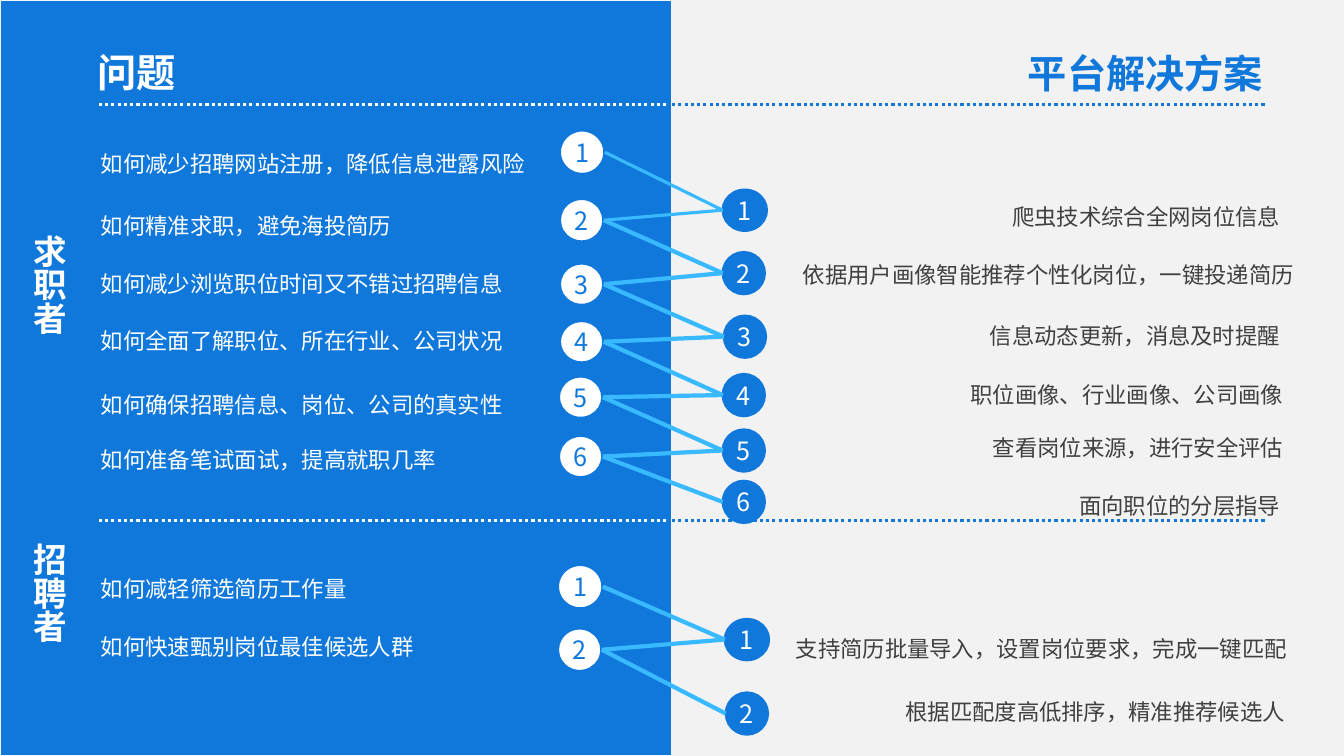
from dataclasses import dataclass

from lxml import etree
from pptx import Presentation
from pptx.dml.color import RGBColor
from pptx.enum.dml import MSO_LINE
from pptx.enum.shapes import MSO_CONNECTOR, MSO_SHAPE
from pptx.enum.text import MSO_ANCHOR, MSO_AUTO_SIZE, PP_ALIGN
from pptx.oxml.ns import qn
from pptx.util import Pt

STRAIGHT = MSO_CONNECTOR.STRAIGHT
RECTANGLE, OVAL = MSO_SHAPE.RECTANGLE, MSO_SHAPE.OVAL
LEFT, CENTER, RIGHT = PP_ALIGN.LEFT, PP_ALIGN.CENTER, PP_ALIGN.RIGHT
MIDDLE = MSO_ANCHOR.MIDDLE
FIT_TEXT = MSO_AUTO_SIZE.SHAPE_TO_FIT_TEXT
DOTTED = MSO_LINE.ROUND_DOT


@dataclass(frozen=True)
class Theme:
    blue: str = "1078DB"
    sky: str = "39B9FF"
    white: str = "FFFFFF"
    pale: str = "F2F2F2"
    grey: str = "404040"
    title_font: str = "Noto Sans"
    body_font: str = "Noto Sans CJK SC"
    title_size: float = 28
    side_size: float = 24
    number_size: float = 18
    body_size: float = 16


@dataclass(frozen=True)
class Area:
    left: float
    top: float
    width: float
    height: float

    @property
    def right(self) -> float:
        return self.left + self.width

    @property
    def middle(self) -> float:
        return self.top + self.height / 2


@dataclass(frozen=True)
class Style:
    font: str
    size: float
    color: str
    bold: bool = False
    align: PP_ALIGN = LEFT


@dataclass(frozen=True)
class Question:
    text: str
    top: float
    circle: Area


@dataclass(frozen=True)
class Answer:
    text: str
    top: float
    right: float
    circle: Area
    link_width: float = 3


@dataclass(frozen=True)
class Audience:
    name: str
    top: float
    questions: list[Question]
    answers: list[Answer]


THEME = Theme()
PAGE_WIDTH, PAGE_HEIGHT = 960, 540
HALF = PAGE_WIDTH / 2
QUESTION_LEFT, QUESTION_WIDTH, ANSWER_WIDTH, ROW_HEIGHT = 65, 350, 380, 26.6

QUESTION_STYLE = Style(THEME.body_font, THEME.body_size, THEME.white)
ANSWER_STYLE = Style(THEME.body_font, THEME.body_size, THEME.grey, align=RIGHT)
SIDE_STYLE = Style(THEME.body_font, THEME.side_size, THEME.white, bold=True)

AUDIENCES = [
    Audience("求职者", 160.6, [
        Question("如何减少招聘网站注册，降低信息泄露风险", 103.7, Area(399.6, 92.9, 32.4, 31.7)),
        Question("如何精准求职，避免海投简历", 148.3, Area(399.6, 141.8, 31.7, 31)),
        Question("如何减少浏览职位时间又不错过招聘信息", 189.4, Area(399.6, 187.9, 31.7, 30.2)),
        Question("如何全面了解职位、所在行业、公司状况", 230.4, Area(399.6, 229, 31.7, 30.2)),
        Question("如何确保招聘信息、岗位、公司的真实性", 275.8, Area(398.9, 268.6, 31.7, 30.2)),
        Question("如何准备笔试面试，提高就职几率", 315.4, Area(398.9, 311, 31.7, 30.2)),
    ], [
        Answer("爬虫技术综合全网岗位信息", 141.8, 921.6, Area(516.2, 135.4, 31.7, 29.5), 2.25),
        Answer("依据用户画像智能推荐个性化岗位，一键投递简历", 182.9, 931.7, Area(516.2, 180, 30.2, 30.2)),
        Answer("信息动态更新，消息及时提醒", 226.8, 921.6, Area(517, 225.4, 30.2, 30.2)),
        Answer("职位画像、行业画像、公司画像", 268.6, 923.8, Area(516.2, 267.1, 30.2, 30.2)),
        Answer("查看岗位来源，进行安全评估", 306.7, 923.8, Area(516.2, 306.7, 30.2, 30.2)),
        Answer("面向职位的分层指导", 347.8, 921.6, Area(516.2, 343.4, 30.2, 30.2)),
    ]),
    Audience("招聘者", 380.9, [
        Question("如何减轻筛选简历工作量", 407.5, Area(398.2, 403.2, 32.4, 31.7)),
        Question("如何快速甄别岗位最佳候选人群", 448.6, Area(398.2, 448.6, 31.7, 31)),
    ], [
        Answer("支持简历批量导入，设置岗位要求，完成一键匹配", 450, 926.6, Area(517.7, 442.1, 31.7, 29.5)),
        Answer("根据匹配度高低排序，精准推荐候选人", 495.4, 925.2, Area(518.4, 494.6, 30.2, 30.2)),
    ]),
]


def lengths(area: Area) -> list[Pt]:
    return [Pt(value) for value in (area.left, area.top, area.width, area.height)]


def apply(target, values: dict) -> None:
    for name, value in values.items():
        setattr(target, name, value)


def write(frame, text: str, style: Style) -> None:
    para = frame.paragraphs[0]
    para.alignment = style.align
    span = para.add_run()
    span.text = text
    apply(span.font, {"name": style.font, "size": Pt(style.size), "bold": style.bold})
    span.font.color.rgb = RGBColor.from_string(style.color)
    east_asian = etree.SubElement(span.font._element, qn("a:ea"))
    east_asian.set("typeface", style.font)


def add_text(page, area: Area, text: str, style: Style, vertical: bool = False) -> None:
    box = page.shapes.add_textbox(*lengths(area))
    apply(box.text_frame, {"word_wrap": True, "auto_size": FIT_TEXT})
    if vertical:
        box._element.txBody.bodyPr.set("vert", "eaVert")
    write(box.text_frame, text, style)


def add_block(page, kind: MSO_SHAPE, area: Area, fill: str, line: str, line_width: float):
    block = page.shapes.add_shape(kind, *lengths(area))
    block.shadow.inherit = False
    block.fill.solid()
    block.fill.fore_color.rgb = RGBColor.from_string(fill)
    block.line.color.rgb = RGBColor.from_string(line)
    block.line.width = Pt(line_width)
    return block


def add_circle(page, area: Area, number: int, fill: str, ink: str, line_width: float) -> None:
    circle = add_block(page, OVAL, area, fill, THEME.blue, line_width)
    margins = dict.fromkeys(("margin_left", "margin_top", "margin_right", "margin_bottom"), 0)
    apply(circle.text_frame, {**margins, "vertical_anchor": MIDDLE})
    write(circle.text_frame, str(number), Style(THEME.body_font, THEME.number_size, ink, align=CENTER))


def add_line(page, start: tuple[float, float], end: tuple[float, float],
             color: str, width: float, dash: MSO_LINE | None = None) -> None:
    line = page.shapes.add_connector(STRAIGHT, *[Pt(value) for value in (*start, *end)])
    line.line.color.rgb = RGBColor.from_string(color)
    apply(line.line, {"width": Pt(width), "dash_style": dash})
    etree.SubElement(line._element.spPr, qn("a:effectLst"))


def add_audience(page, audience: Audience) -> None:
    add_text(page, Area(9.4, audience.top, 43.9, 108.7), audience.name, SIDE_STYLE, vertical=True)
    for number, question in enumerate(audience.questions, 1):
        add_text(page, Area(QUESTION_LEFT, question.top, QUESTION_WIDTH, ROW_HEIGHT),
                 question.text, QUESTION_STYLE)
        add_circle(page, question.circle, number, THEME.white, THEME.blue, 2.25)
    for number, answer in enumerate(audience.answers, 1):
        add_text(page, Area(answer.right - ANSWER_WIDTH, answer.top, ANSWER_WIDTH, ROW_HEIGHT),
                 answer.text, ANSWER_STYLE)
        add_circle(page, answer.circle, number, THEME.blue, THEME.white, 1.5)
        for question in audience.questions[number - 1:number + 1]:
            add_line(page, (question.circle.right, question.circle.middle),
                     (answer.circle.left, answer.circle.middle), THEME.sky, answer.link_width)


def main() -> None:
    deck = Presentation()
    apply(deck, {"slide_width": Pt(PAGE_WIDTH), "slide_height": Pt(PAGE_HEIGHT)})
    page = deck.slides.add_slide(deck.slide_layouts[6])
    for width, fill in ((PAGE_WIDTH, THEME.pale), (HALF, THEME.blue)):
        add_block(page, RECTANGLE, Area(0, 0, width, PAGE_HEIGHT), fill, THEME.pale, 1)
    for left, top, width, text, color in ((62.6, 31, 185.8, "问题", THEME.white),
                                          (727.2, 31.7, 232.6, "平台解决方案", THEME.blue)):
        add_text(page, Area(left, top, width, 41), text,
                 Style(THEME.title_font, THEME.title_size, color, bold=True))
    for height in (74.9, 371.5):
        for left, right, color in ((70.6, 477.4, THEME.white), (HALF, 903.6, THEME.blue)):
            add_line(page, (left, height), (right, height), color, 2.25, DOTTED)
    for audience in AUDIENCES:
        add_audience(page, audience)
    deck.save("out.pptx")


if __name__ == "__main__":
    main()
